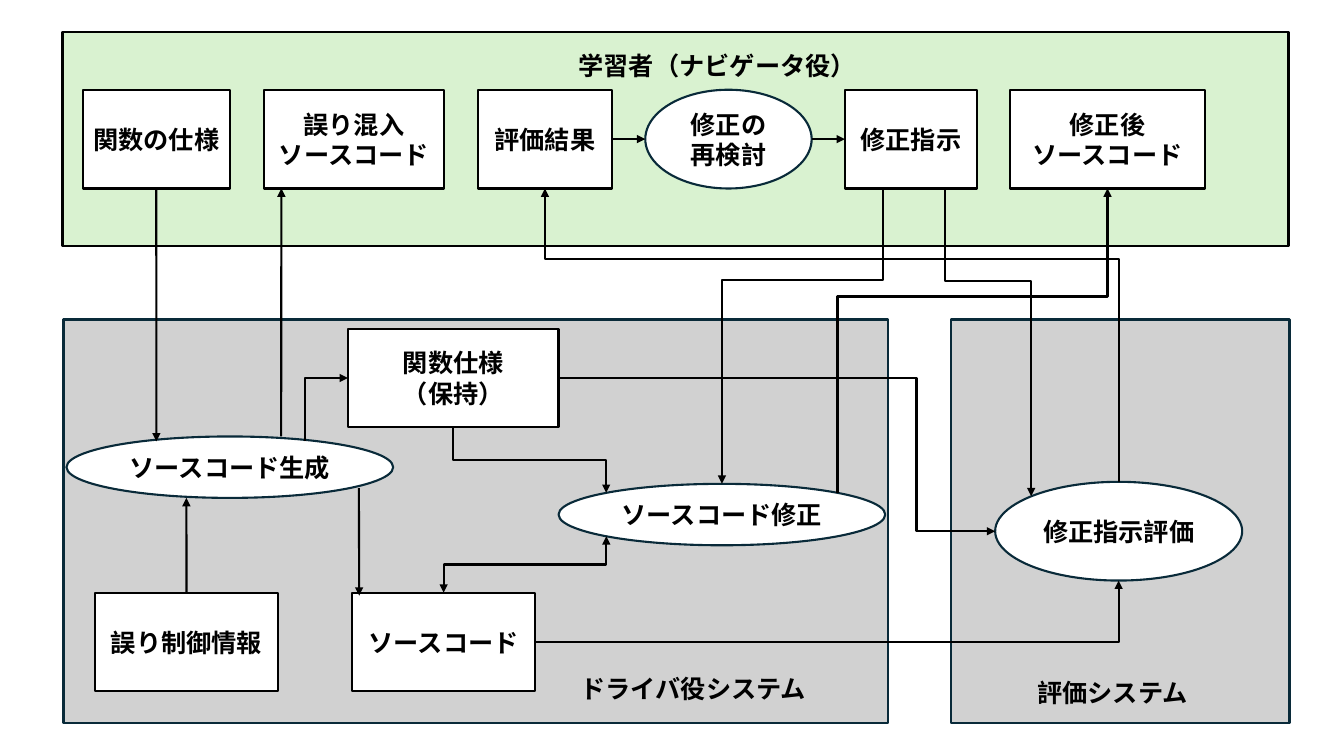
from lxml import etree
from pptx import Presentation
from pptx import util as u
from pptx.dml.color import RGBColor
from pptx.enum import shapes, text
from pptx.oxml.ns import qn

BLACK = RGBColor(0, 0, 0)
WHITE = RGBColor(0xFF, 0xFF, 0xFF)
NAVY = RGBColor(0x09, 0x2A, 0x39)
GREEN = RGBColor(0xD9, 0xF2, 0xD0)
GREY = RGBColor(0xD1, 0xD1, 0xD1)
FONT = "Noto Sans CJK JP"
RECT = shapes.MSO_SHAPE.RECTANGLE
OVAL = shapes.MSO_SHAPE.OVAL
TALL = 0.98
FLAT = 0.61
NEAR, FAR = 0.146, 0.854


def style(frame, align):
    """Format every run of a text frame."""
    frame.word_wrap = True
    for para in frame.paragraphs:
        para.alignment = align
        for run in para.runs:
            font = run.font
            font.name, font.size, font.bold = FONT, u.Pt(18), True
            font.color.rgb = BLACK
            etree.SubElement(font._element, qn("a:ea")).set("typeface", FONT)


def node(slide, kind, box, fill, edge, words=""):
    """Draw one filled shape with centred words."""
    shape = slide.shapes.add_shape(kind, *map(u.Inches, box))
    shape.shadow.inherit = False
    shape.fill.solid()
    shape.fill.fore_color.rgb = fill
    shape.line.color.rgb = edge
    shape.line.width = u.Pt(1.5)
    if words:
        shape.text_frame.text = words
        shape.text_frame.vertical_anchor = text.MSO_ANCHOR.MIDDLE
        style(shape.text_frame, text.PP_ALIGN.CENTER)
    return shape


def region(slide, box, fill, edge, title, spot, parts):
    """Draw a panel, its title and its parts, and return the parts by name."""
    left, top = box[:2]
    node(slide, RECT, box, fill, edge)
    nodes = {}
    for name, kind, x, y, wide, high, words in parts:
        line = NAVY if kind == OVAL else BLACK
        place = (left + x, top + y, wide, high)
        nodes[name] = node(slide, kind, place, WHITE, line, words)
    place = (left + spot[0], top + spot[1], 4.4, 0.4)
    label = slide.shapes.add_textbox(*map(u.Inches, place))
    label.text_frame.text = title
    style(label.text_frame, text.PP_ALIGN.LEFT)
    return nodes


def learner(slide, box):
    """Draw the learner panel."""
    row = [
        ("spec", RECT, 0.2, 1.46, "関数の仕様"),
        ("bug", RECT, 2.0, 1.78, "誤り混入\vソースコード"),
        ("result", RECT, 4.12, 1.33, "評価結果"),
        ("review", OVAL, 5.78, 1.65, "修正の再検討"),
        ("order", RECT, 7.76, 1.31, "修正指示"),
        ("fixed", RECT, 9.4, 1.93, "修正後\vソースコード"),
    ]
    parts = [(n, k, x, 0.57, w, TALL, t) for n, k, x, w, t in row]
    return region(slide, box, GREEN, BLACK, "学習者（ナビゲータ役）", (5.02, 0.13), parts)


def driver(slide, box):
    """Draw the driver system panel."""
    parts = [
        ("hold", RECT, 2.82, 0.09, 2.09, TALL, "関数仕様\n（保持）"),
        ("make", OVAL, 0.03, 1.16, 3.24, FLAT, "ソースコード生成"),
        ("mend", OVAL, 4.91, 1.63, 3.24, FLAT, "ソースコード修正"),
        ("rule", RECT, 0.31, 2.71, 1.82, TALL, "誤り制御情報"),
        ("code", RECT, 2.86, 2.71, 1.82, TALL, "ソースコード"),
    ]
    return region(slide, box, GREY, NAVY, "ドライバ役システム", (5.03, 3.46), parts)


def judge(slide, box):
    """Draw the evaluation system panel."""
    parts = [("rate", OVAL, 0.44, 1.61, 2.45, TALL, "修正指示評価")]
    return region(slide, box, GREY, NAVY, "評価システム", (0.76, 3.5), parts)


def point(shape, fx, fy):
    """Return the point at a fraction of a shape's width and height."""
    return (int(shape.left + fx * shape.width), int(shape.top + fy * shape.height))


def finish(link, both=False):
    """Give a connector its line, arrowheads and no shadow."""
    link.line.color.rgb = BLACK
    link.line.width = u.Pt(1.5)
    pen = link.line._get_or_add_ln()
    for tag in ("a:headEnd", "a:tailEnd") if both else ("a:tailEnd",):
        etree.SubElement(pen, qn(tag)).set("type", "triangle")
    etree.SubElement(link._element.spPr, qn("a:effectLst"))


def arrow(slide, start, end, out=None, into=None):
    """Draw a straight arrow, joined to rectangle sides where given."""
    a, b = point(*start), point(*end)
    link = slide.shapes.add_connector(shapes.MSO_CONNECTOR.STRAIGHT, *a, *b)
    if out is not None:
        link.begin_connect(start[0], out)
    if into is not None:
        link.end_connect(end[0], into)
    finish(link)


def elbow(slide, start, end, upright=True, bend=0.5, both=False):
    """Draw a bent arrow; a bend of None makes a single corner."""
    (ax, ay), (bx, by) = point(*start), point(*end)
    dx, dy = bx - ax, by - ay
    wide, high = (abs(dy), abs(dx)) if upright else (abs(dx), abs(dy))
    left, top = (ax + bx - wide) // 2, (ay + by - high) // 2
    link = slide.shapes.add_connector(
        shapes.MSO_CONNECTOR.ELBOW, left, top, left + wide, top + high)
    frame = link._element.spPr.find(qn("a:xfrm"))
    if upright:
        frame.set("rot", str((90 if dx * dy < 0 else 270) * 60000))
    frame.set("flipH", str(int(dx > 0 if upright else dx < 0)))
    frame.set("flipV", str(int(dy < 0)))
    geom = link._element.spPr.find(qn("a:prstGeom"))
    if bend is None:
        geom.set("prst", "bentConnector2")
    else:
        guide = etree.SubElement(geom.find(qn("a:avLst")), qn("a:gd"))
        guide.set("name", "adj1")
        guide.set("fmla", f"val {round(bend * 100000)}")
    finish(link, both)


def flow(slide, n):
    """Link the parts of all panels."""
    arrow(slide, (n["spec"], 0.5, 1), (n["make"], 0.275, 0.08), out=2)
    arrow(slide, (n["rule"], 0.5, 0), (n["make"], 0.367, 1), out=0)
    arrow(slide, (n["make"], 0.657, 0), (n["bug"], 0.096, 1))
    arrow(slide, (n["make"], 0.895, 0.84), (n["code"], 0.04, 0.03))
    arrow(slide, (n["result"], 1, 0.5), (n["review"], 0, 0.5), out=3)
    arrow(slide, (n["review"], 1, 0.5), (n["order"], 0, 0.5), into=1)
    elbow(slide, (n["hold"], 0.5, 1), (n["mend"], NEAR, NEAR))
    elbow(slide, (n["hold"], 1, 0.5), (n["rate"], 0, 0.5), False, 0.82)
    elbow(slide, (n["code"], 1, 0.5), (n["rate"], 0.5, 1), False, None)
    elbow(slide, (n["rate"], 0.5, 0), (n["result"], 0.5, 1), bend=0.76)
    elbow(slide, (n["order"], 0.29, 1), (n["mend"], 0.5, 0), bend=0.31)
    elbow(slide, (n["order"], 0.76, 1), (n["rate"], NEAR, NEAR), bend=0.3)
    elbow(slide, (n["mend"], FAR, NEAR), (n["fixed"], 0.5, 1), bend=0.645)
    elbow(slide, (n["code"], 0.5, 0), (n["mend"], NEAR, FAR), both=True)
    elbow(slide, (n["make"], 0.73, 0.08), (n["hold"], 0, 0.5), bend=None)


def main():
    """Build and save the slide."""
    deck = Presentation()
    deck.slide_width, deck.slide_height = u.Inches(13.33), u.Inches(7.5)
    slide = deck.slides.add_slide(deck.slide_layouts[6])
    nodes = learner(slide, (0.62, 0.32, 12.16, 2.12))
    nodes.update(driver(slide, (0.63, 3.17, 8.18, 4)))
    nodes.update(judge(slide, (9.43, 3.17, 3.36, 4)))
    flow(slide, nodes)
    deck.save("out.pptx")


if __name__ == "__main__":
    main()
